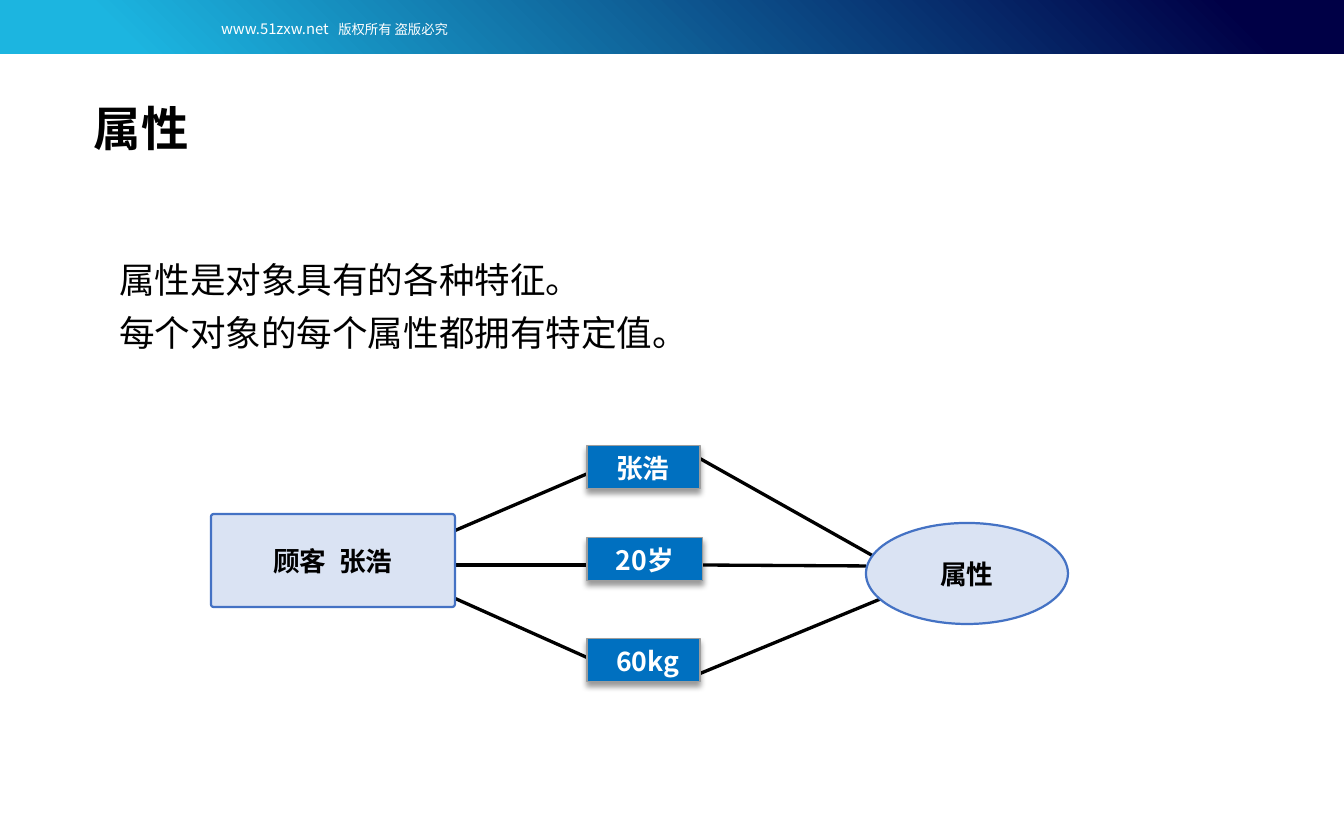
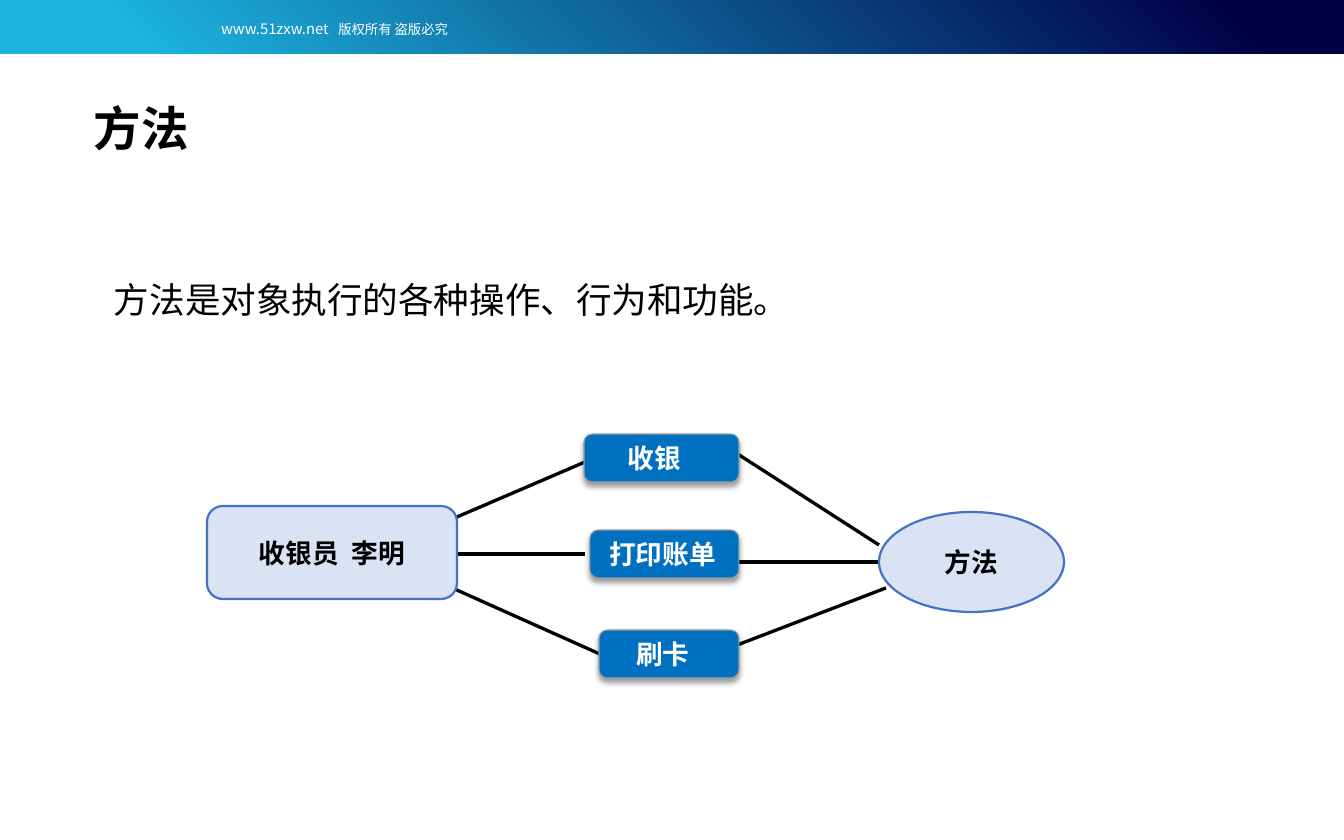
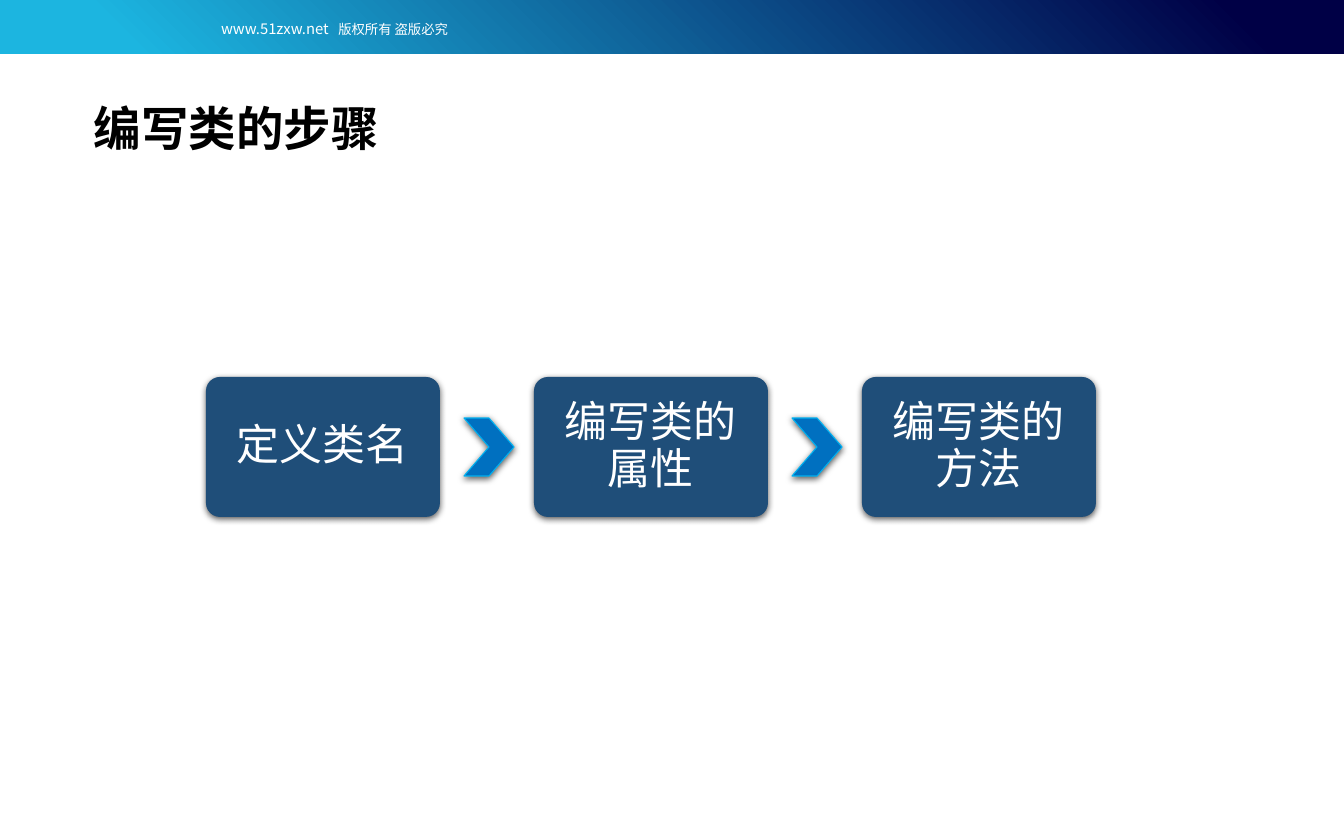
from lxml import etree
from pptx import Presentation
from pptx.dml.color import RGBColor
from pptx.enum.shapes import MSO_CONNECTOR, MSO_SHAPE
from pptx.enum.text import MSO_ANCHOR, PP_ALIGN
from pptx.oxml.ns import qn
from pptx.util import Emu, Pt

RECT, ROUND = MSO_SHAPE.RECTANGLE, MSO_SHAPE.ROUNDED_RECTANGLE
OVAL, CHEVRON = MSO_SHAPE.OVAL, MSO_SHAPE.CHEVRON
STRAIGHT = MSO_CONNECTOR.STRAIGHT
LEFT, CENTER = PP_ALIGN.LEFT, PP_ALIGN.CENTER
TOP, MIDDLE = MSO_ANCHOR.TOP, MSO_ANCHOR.MIDDLE

EMU_PER_PX = 8572.5
FONT = "Noto Sans CJK SC"
WIDE_GAP = "450"  # extra spacing after a space, in 1/100 pt
COLORS = {
    "navy": "000046", "cyan": "1CB5E0", "white": "FFFFFF", "black": "000000",
    "chip": "0070C0", "chip_line": "9D9D9D", "node": "DAE3F3",
    "node_line": "4472C4", "step": "1F4E79", "chevron_line": "00B0F0",
}
# Shadows: opacity %, blur pt, distance pt
CHIP_SHADOW = (40, 4, 3)
STEP_SHADOW = (63, 4.5, 1.5)


def px(n):
    return Emu(round(n * EMU_PER_PX))


def rgb(name):
    return RGBColor.from_string(COLORS[name])


class Deck:
    def __init__(self):
        self.prs = Presentation()
        self.prs.slide_width, self.prs.slide_height = px(1344), px(840)
        self.s = None

    def slide(self, title):
        self.s = self.prs.slides.add_slide(self.prs.slide_layouts[6])
        self.band()
        self.text((60, 9, 549, 31), [[("www.51zxw.net", 10), ("版权所有 盗版必究", 9)]],
                  color="white", align=CENTER, spacing=1.3)
        self.text((83, 94, 900, 68), [[(title, 32)]], bold=True)

    def band(self):
        sp = self.s.shapes.add_shape(RECT, px(635), px(-660), px(74), px(1354))
        sp.rotation = 90
        sp.shadow.inherit = False
        sp.line.fill.background()
        sp.fill.gradient()
        sp.fill.gradient_angle = 315
        stops = zip(sp.fill.gradient_stops, ((0.1, "navy"), (0.9, "cyan")))
        for stop, (position, color) in stops:
            stop.position = position
            stop.color.rgb = rgb(color)

    def add_run(self, p, text, size, color, bold):
        r = p.add_run()
        r.text = text
        r.font.size, r.font.bold, r.font.name = Pt(size), bold, FONT
        r.font.color.rgb = rgb(color)
        rpr = r.font._element
        etree.SubElement(rpr, qn("a:ea")).set("typeface", FONT)
        return rpr

    def fill_text(self, tf, paragraphs, color="black", bold=False, align=LEFT,
                  anchor=TOP, spacing=1.0, before=0, insets=(11, 5, 11, 5)):
        """Each paragraph is a list of (text, size) parts set a wide gap apart."""
        tf.word_wrap = True
        tf.vertical_anchor = anchor
        (tf.margin_left, tf.margin_top,
         tf.margin_right, tf.margin_bottom) = map(px, insets)
        for i, parts in enumerate(paragraphs):
            p = tf.add_paragraph() if i else tf.paragraphs[0]
            p.alignment, p.line_spacing = align, spacing
            p.space_before = Pt(before if i else 0)
            for j, (text, size) in enumerate(parts):
                if j:
                    self.add_run(p, " ", size, color, bold).set("spc", WIDE_GAP)
                self.add_run(p, text, size, color, bold)

    def text(self, box, paragraphs, **style):
        sp = self.s.shapes.add_textbox(*map(px, box))
        self.fill_text(sp.text_frame, paragraphs, **style)

    def body(self, box, lines):
        self.text(box, [[(line, 24)] for line in lines], spacing=0.9, before=10)

    def shape(self, kind, box, fill, line=None, width=0.75, adj=None, shadow=None):
        sp = self.s.shapes.add_shape(kind, *map(px, box))
        sp.fill.solid()
        sp.fill.fore_color.rgb = rgb(fill)
        if line:
            sp.line.color.rgb = rgb(line)
            sp.line.width = Pt(width)
        else:
            sp.line.fill.background()
        if adj is not None:
            sp.adjustments[0] = adj
        sp.shadow.inherit = False
        if shadow:
            self.drop_shadow(sp, *shadow)
        return sp

    def drop_shadow(self, sp, opacity, blur, distance):
        effects = sp._element.spPr.find(qn("a:effectLst"))
        outer = etree.SubElement(effects, qn("a:outerShdw"), blurRad=str(Pt(blur)),
                                 dist=str(Pt(distance)), dir="5400000",
                                 algn="t", rotWithShape="0")
        clr = etree.SubElement(outer, qn("a:srgbClr"), val=COLORS["black"])
        etree.SubElement(clr, qn("a:alpha"), val=str(opacity * 1000))

    def line(self, x1, y1, x2, y2):
        c = self.s.shapes.add_connector(STRAIGHT, *map(px, (x1, y1, x2, y2)))
        c.line.color.rgb = rgb("black")
        c.line.width = Pt(2.25)
        etree.SubElement(c._element.spPr, qn("a:effectLst"))

    def fan(self, x, y):
        """Three lines spreading from the object to its chips."""
        for x1, y1, x2, y2 in ((0, 0, 135, -58), (0, 34, 135, 34), (0, 67, 152, 135)):
            self.line(x + x1, y + y1, x + x2, y + y2)

    def node(self, kind, box, words, adj=None):
        sp = self.shape(kind, box, "node", "node_line", 1.5, adj)
        self.fill_text(sp.text_frame, [[(w, 18) for w in words]], bold=True,
                       align=CENTER, anchor=MIDDLE)

    def chip(self, box, text, pad, adj):
        sp = self.shape(ROUND, box, "chip", "chip_line", adj=adj, shadow=CHIP_SHADOW)
        self.fill_text(sp.text_frame, [[(text, 18)]], color="white", bold=True,
                       anchor=MIDDLE, insets=(pad, 0, 0, 0))

    def step(self, box, text):
        sp = self.shape(ROUND, box, "step", adj=0.1, shadow=STEP_SHADOW)
        self.fill_text(sp.text_frame, [[(text, 29)]], color="white", align=CENTER,
                       anchor=MIDDLE, spacing=0.9, insets=(13,) * 4)

    def object_map(self, fan, lines, owner, owner_box, owner_adj,
                   chips, chip_adj, kind, kind_box):
        self.fan(*fan)
        for ends in lines:
            self.line(*ends)
        self.node(OVAL, kind_box, [kind])
        for box, text, pad in chips:
            self.chip(box, text, pad, chip_adj)
        self.node(ROUND, owner_box, owner, owner_adj)


def main():
    d = Deck()

    # Attributes
    d.slide("属性")
    d.body((108, 258, 622, 133),
           ["属性是对象具有的各种特征。", "每个对象的每个属性都拥有特定值。"])
    d.object_map(
        fan=(454, 531),
        lines=[(699, 458, 875, 557), (699, 565, 866, 566), (699, 674, 883, 598)],
        owner=["顾客", "张浩"], owner_box=(211, 514, 244, 93), owner_adj=0.03,
        chips=[((587, 446, 113, 43), "张浩", 29),
               ((587, 538, 116, 43), "20岁", 29),
               ((587, 639, 113, 43), "60kg", 29)],
        chip_adj=0, kind="属性", kind_box=(866, 523, 202, 101))

    # Methods
    d.slide("方法")
    d.body((103, 278, 917, 204), ["方法是对象执行的各种操作、行为和功能。"])
    d.object_map(
        fan=(450, 520),
        lines=[(733, 451, 879, 545), (736, 562, 886, 562), (693, 662, 886, 588)],
        owner=["收银员", "李明"], owner_box=(207, 506, 250, 93), owner_adj=0.17,
        chips=[((584, 434, 155, 48), "收银", 41),
               ((590, 530, 149, 48), "打印账单", 17),
               ((599, 630, 140, 48), "刷卡", 35)],
        chip_adj=0.17, kind="方法", kind_box=(879, 512, 185, 100))

    # Steps of writing a class
    d.slide("编写类的步骤")
    pitch = 328
    steps = ["定义类名", "编写类的属性", "编写类的方法"]
    for i, name in enumerate(steps):
        if i:
            d.shape(CHEVRON, (464 + (i - 1) * pitch, 418, 50, 58), "chip",
                    "chevron_line", shadow=STEP_SHADOW)
        d.step((206 + i * pitch, 377, 234, 140), name)

    d.prs.save("out.pptx")


if __name__ == "__main__":
    main()
